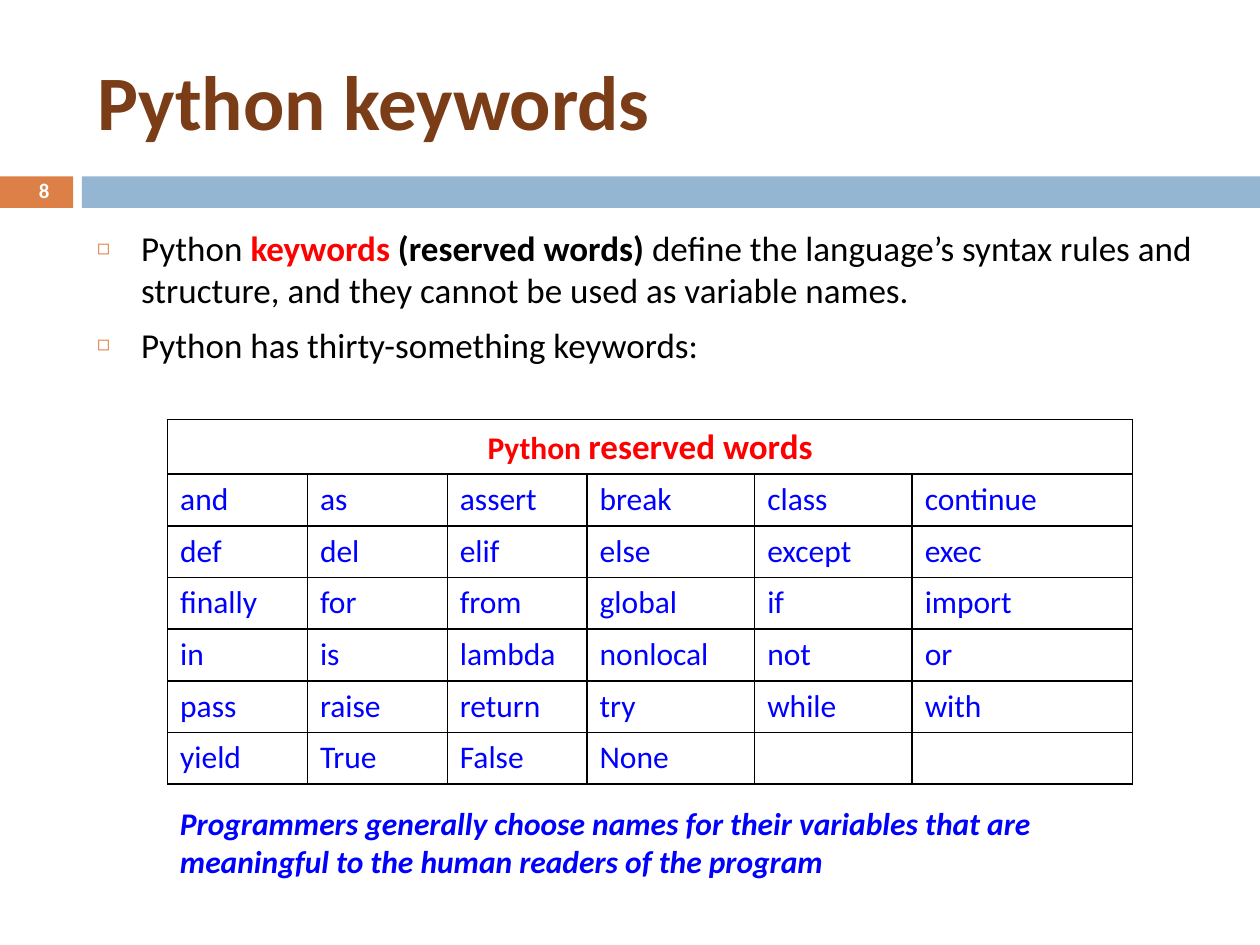
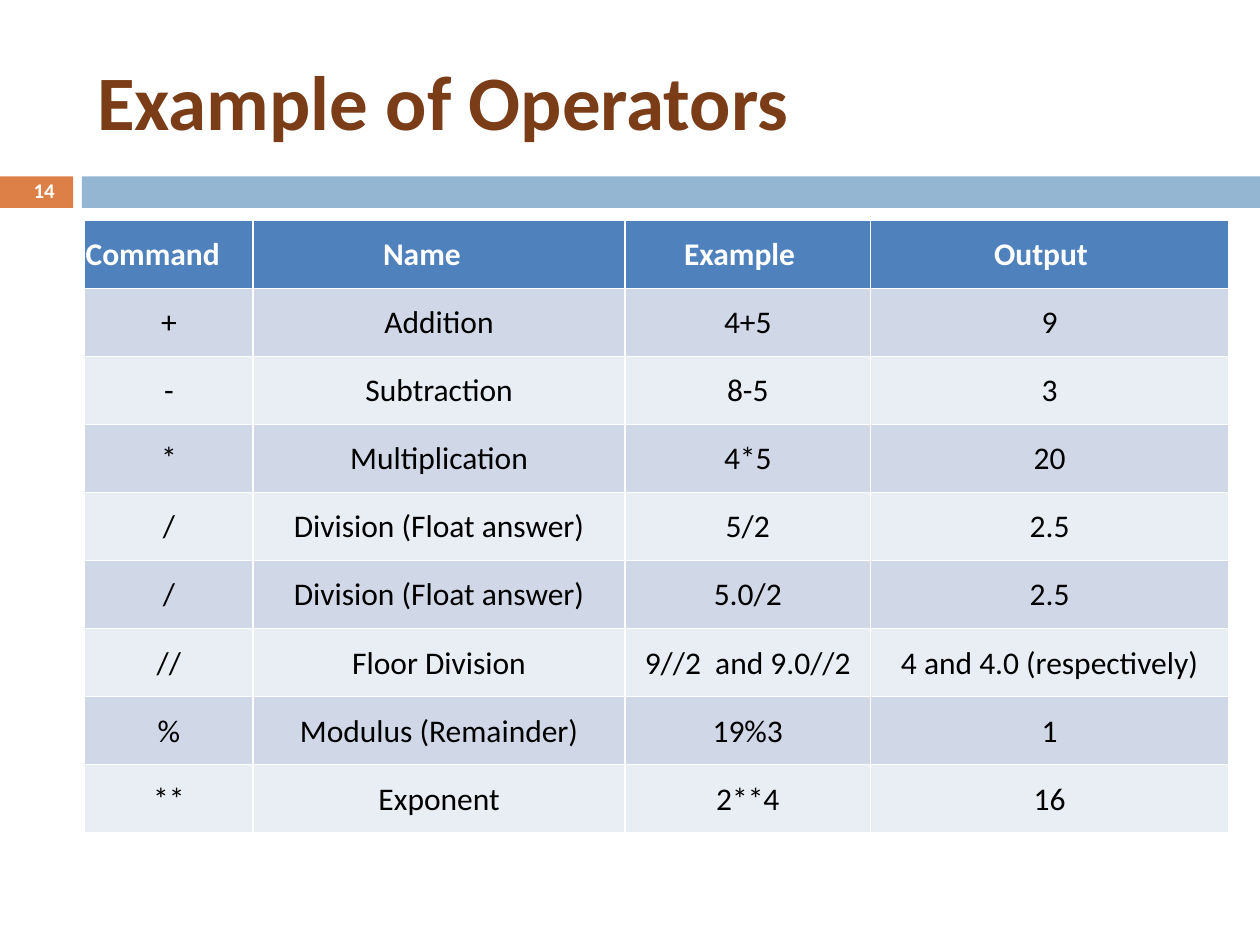
"""Build two slides on Python keywords and operators."""
import dataclasses

import pptx
import pptx.dml.color
import pptx.enum.shapes
import pptx.enum.text
import pptx.oxml
import pptx.oxml.ns
import pptx.util

Inches = pptx.util.Inches
Pt = pptx.util.Pt
ALIGN = pptx.enum.text.PP_ALIGN
MIDDLE = pptx.enum.text.MSO_ANCHOR.MIDDLE

KEYWORDS_TITLE = "Python keywords"
KEYWORD_POINTS = [
    [
        ("Python\u00a0", "ink", False),
        ("keywords", "red", True),
        (" (reserved words)", "ink", True),
        (" define the language’s syntax rules and structure, "
         "and they cannot be used as variable names.", "ink", False),
    ],
    [("Python has thirty-something keywords:", "ink", False)],
]
KEYWORDS_HEADING = ("Python ", "reserved words")
KEYWORDS = """
    and as assert break class continue
    def del elif else except exec
    finally for from global if import
    in is lambda nonlocal not or
    pass raise return try while with
    yield True False None
""".split()
KEYWORD_WIDTHS = [1.11, 1.11, 1.11, 1.33, 1.25, 1.75]
NAMING_ADVICE = ("Programmers generally choose names for their variables that are "
                 "meaningful to the human readers of the program")

OPERATORS_TITLE = "Example of Operators"
OPERATOR_COLUMNS = [
    ("Command", 1.34, 0.01),
    ("Name", 2.95, 1.03),
    ("Example", 1.95, 0.47),
    ("Output", 2.84, 0.98),
]
OPERATORS = [
    ("+", "Addition", "4+5", "9"),
    ("-", "Subtraction", "8-5", "3"),
    ("*", "Multiplication", "4*5", "20"),
    ("/", "Division (Float answer)", "5/2", "2.5"),
    ("/", "Division (Float answer)", "5.0/2", "2.5"),
    ("//", "Floor Division", "9//2  and 9.0//2", "4 and 4.0 (respectively)"),
    ("%", "Modulus (Remainder)", "19%3", "1"),
    ("**", "Exponent", "2**4", "16"),
]


@dataclasses.dataclass(frozen=True)
class Theme:
    font: str = "Calibri"
    title: str = "7B3D17"
    accent: str = "DD8047"
    band: str = "94B6D2"
    ink: str = "000000"
    white: str = "FFFFFF"
    red: str = "FF0000"
    blue: str = "0000FF"
    header: str = "4F81BD"
    stripes: tuple = ("D0D8E8", "E9EDF4")
    title_size: float = 44
    body_size: float = 20
    small_size: float = 18
    number_size: float = 11.9


THEME = Theme()


def rgb(color):
    return pptx.dml.color.RGBColor.from_string(color)


def style(run, size, color, bold=False, italic=False):
    run.font.name = THEME.font
    run.font.size = Pt(size)
    run.font.color.rgb = rgb(color)
    run.font.bold = bold
    run.font.italic = italic


def write(frame, text, size, color, bold=False, italic=False, align=ALIGN.LEFT):
    frame.text = text
    paragraph = frame.paragraphs[0]
    paragraph.alignment = align
    for run in paragraph.runs:
        style(run, size, color, bold, italic)
    return paragraph


def place(shape, left, top, width, height):
    shape.left, shape.top = Inches(left), Inches(top)
    shape.width, shape.height = Inches(width), Inches(height)


def append_xml(parent, tag, content="", **attributes):
    values = "".join(f' {name}="{value}"' for name, value in attributes.items())
    namespace = pptx.oxml.ns.nsdecls("a")
    parent.append(pptx.oxml.parse_xml(f"<a:{tag} {namespace}{values}>{content}</a:{tag}>"))


def add_text(slide, left, top, width, height):
    frame = slide.shapes.add_textbox(*map(Inches, (left, top, width, height))).text_frame
    frame.word_wrap = True
    return frame


def start_slide(deck, layout, title, number):
    slide = deck.slides.add_slide(deck.slide_layouts[layout])
    for left, width, color in ((0, 0.58, THEME.accent), (0.65, 9.35, THEME.band)):
        band = slide.shapes.add_shape(
            pptx.enum.shapes.MSO_SHAPE.RECTANGLE,
            *map(Inches, (left, 1.4, width, 0.25)))
        band.shadow.inherit = False
        band.fill.solid()
        band.fill.fore_color.rgb = rgb(color)
        band.line.fill.background()
    heading = slide.shapes.title
    place(heading, 0.67, 0.25, 8.92, 1.08)
    heading.text_frame.vertical_anchor = MIDDLE
    write(heading.text_frame, title, THEME.title_size, THEME.title, True)

    counter = add_text(slide, 0, 1.39, 0.58, 0.27)
    counter.margin_left = counter.margin_right = 0
    counter.margin_top = counter.margin_bottom = 0
    counter.vertical_anchor = MIDDLE
    digits = write(counter, str(number), THEME.number_size, THEME.white, True,
                   align=ALIGN.CENTER)
    digits.line_spacing = 0.8
    digits._p.get_or_add_pPr().set("marL", str(Inches(0.12)))
    return slide


def add_grid(slide, left, top, widths, row_count, row_height, border):
    grid = slide.shapes.add_table(
        row_count, len(widths), Inches(left), Inches(top),
        Inches(sum(widths)), Inches(row_count * row_height)).table
    grid.first_row = grid.horz_banding = False
    for column, width in zip(grid.columns, widths):
        column.width = Inches(width)
    for row in grid.rows:
        row.height = Inches(row_height)
    for cell in grid.iter_cells():
        for side in ("lnL", "lnR", "lnT", "lnB"):
            append_xml(cell._tc.get_or_add_tcPr(), side,
                       f'<a:solidFill><a:srgbClr val="{border}"/></a:solidFill>',
                       w=Pt(1))
        cell.fill.background()
    return grid


def fill_points(frame):
    frame.auto_size = pptx.enum.text.MSO_AUTO_SIZE.NONE
    for index, point in enumerate(KEYWORD_POINTS):
        paragraph = frame.add_paragraph() if index else frame.paragraphs[0]
        paragraph.space_before = Pt(7)
        for text, color, bold in point:
            run = paragraph.add_run()
            run.text = text
            style(run, THEME.body_size, getattr(THEME, color), bold)
        properties = paragraph._p.get_or_add_pPr()
        properties.set("marL", str(Inches(0.35)))
        properties.set("indent", str(-Inches(0.35)))
        append_xml(properties, "buClr", f'<a:srgbClr val="{THEME.accent}"/>')
        append_xml(properties, "buSzPct", val=60000)
        append_xml(properties, "buChar", char="◻")


def build_keywords(deck):
    slide = start_slide(deck, 1, KEYWORDS_TITLE, 8)
    points = slide.placeholders[1]
    place(points, 0.67, 1.75, 8.92, 5.58)
    fill_points(points.text_frame)

    column_count = len(KEYWORD_WIDTHS)
    row_count = 1 + -(-len(KEYWORDS) // column_count)
    grid = add_grid(slide, 1.33, 3.33, KEYWORD_WIDTHS, row_count, 0.41, THEME.ink)
    heading = grid.cell(0, 0)
    heading.merge(grid.cell(0, column_count - 1))
    lead, rest = KEYWORDS_HEADING
    caption = write(heading.text_frame, lead, THEME.small_size, THEME.red, True,
                    align=ALIGN.CENTER)
    ending = caption.add_run()
    ending.text = rest
    style(ending, THEME.body_size, THEME.red, True)
    for index, keyword in enumerate(KEYWORDS):
        row, column = divmod(index, column_count)
        write(grid.cell(row + 1, column).text_frame, keyword,
              THEME.small_size, THEME.blue)

    advice = add_text(slide, 1.33, 6.33, 7.75, 0.71)
    write(advice, NAMING_ADVICE, THEME.small_size, THEME.blue, True, True)


def build_operators(deck):
    slide = start_slide(deck, 5, OPERATORS_TITLE, 14)
    names, widths, indents = zip(*OPERATOR_COLUMNS)
    rows = [names, *OPERATORS]
    grid = add_grid(slide, 0.67, 1.75, widths, len(rows), 0.54, THEME.white)
    for r, row in enumerate(rows):
        is_header = r == 0
        for c, text in enumerate(row):
            cell = grid.cell(r, c)
            cell.vertical_anchor = MIDDLE
            cell.margin_left = Inches(indents[c] if is_header else 0.01)
            cell.margin_right = cell.margin_top = Inches(0.01)
            cell.margin_bottom = 0
            cell.fill.solid()
            cell.fill.fore_color.rgb = rgb(
                THEME.header if is_header else THEME.stripes[(r - 1) % 2])
            write(cell.text_frame, text, THEME.small_size,
                  THEME.white if is_header else THEME.ink, is_header,
                  align=ALIGN.LEFT if is_header else ALIGN.CENTER)


def main():
    deck = pptx.Presentation()
    deck.slide_width, deck.slide_height = Inches(10), Inches(7.5)
    build_keywords(deck)
    build_operators(deck)
    deck.save("out.pptx")


if __name__ == "__main__":
    main()
